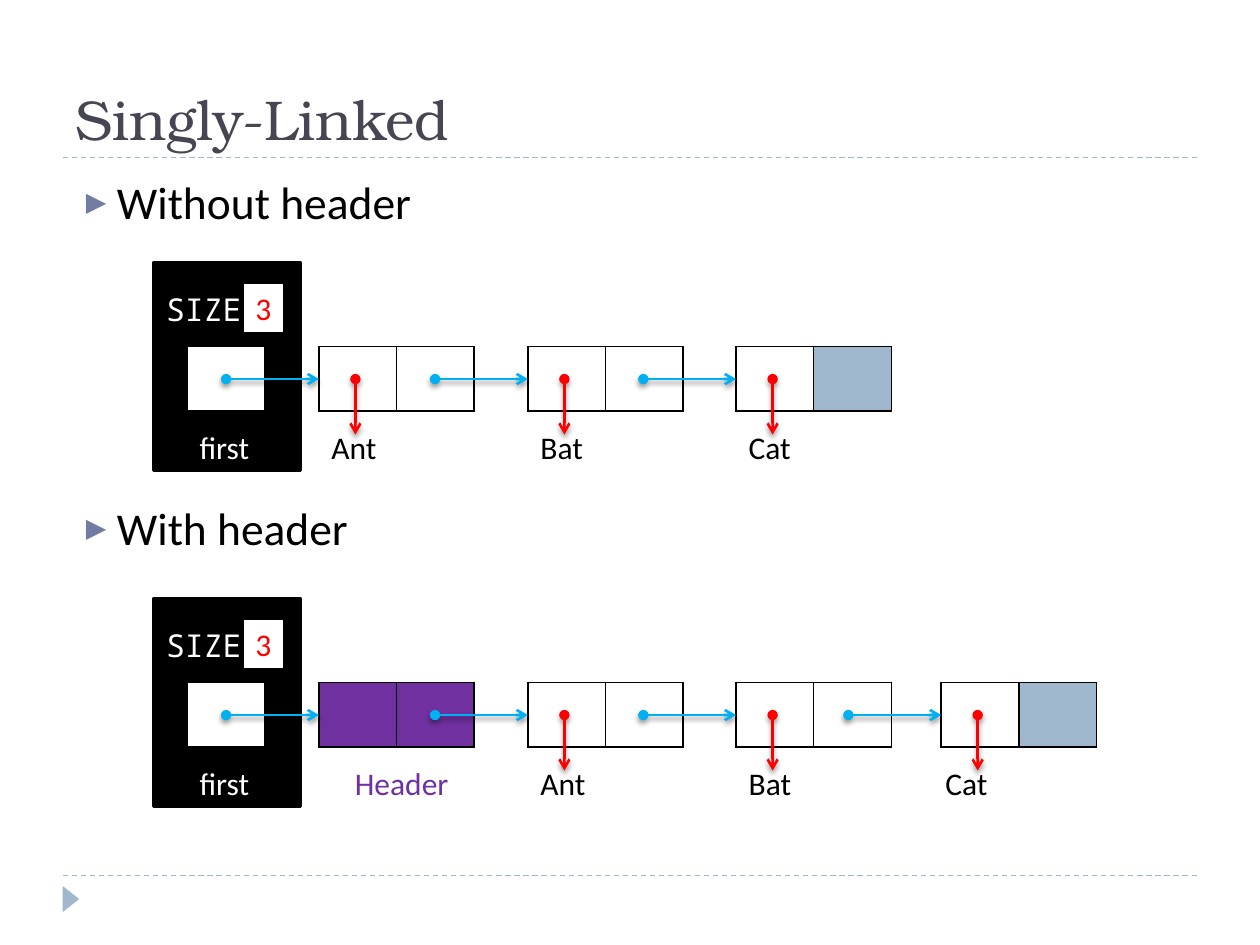
from lxml import etree
from pptx import Presentation
from pptx import util as u
from pptx.dml import color
from pptx.enum import dml, shapes, text
from pptx.oxml import ns

Pt = u.Pt
rgb = color.RGBColor.from_string
BLACK, WHITE, RED, BLUE = "000000", "FFFFFF", "FF0000", "00B0F0"
PURPLE, STEEL, INK, SLATE = "7030A0", "9FB8CD", "464653", "727CA3"


def add(parent, tag, **attrs):
    """Append a DrawingML child with the given attributes."""
    return etree.SubElement(parent, ns.qn("a:" + tag), attrs)


def write(para, words, size, hue, face="Calibri"):
    run = para.add_run()
    run.text = words
    run.font.size, run.font.name = Pt(size), face
    run.font.color.rgb = rgb(hue)


deck = Presentation()
deck.slide_width, deck.slide_height = Pt(720), Pt(540)
slide = deck.slides.add_slide(deck.slide_layouts[6])
art = slide.shapes

# Title and bullets
title = art.add_textbox(Pt(36), Pt(12), Pt(648), Pt(78)).text_frame
title.word_wrap = True
title.vertical_anchor = text.MSO_ANCHOR.BOTTOM
write(title.paragraphs[0], "Singly-Linked", 32, INK, "TeX Gyre Bonum")

body = art.add_textbox(Pt(36), Pt(95.8), Pt(648), Pt(389)).text_frame
body.word_wrap = True
for i, words in enumerate(("Without header", "With header")):
    para = body.add_paragraph() if i else body.paragraphs[0]
    prop = para._p.get_or_add_pPr()
    prop.set("marL", str(Pt(21.6)))
    prop.set("indent", str(Pt(-21.6)))
    add(add(prop, "buClr"), "srgbClr", val=SLATE)
    add(prop, "buSzPct", val="76000")
    add(prop, "buFont", typeface="Noto Sans Mono")
    add(prop, "buChar", char="▶")
    if i:
        para.space_before = Pt(155)
    write(para, words, 26, BLACK)

# Each node: left, cell fills, label, label left, label width, label hue
PLAIN, LAST = (None, None), (None, STEEL)
bare = [(182.2, PLAIN, "Ant", 182.2, 44.4, BLACK),
        (301.6, PLAIN, "Bat", 301.6, 44.4, BLACK),
        (420.6, LAST, "Cat", 420.6, 44.4, BLACK)]
headed = [(182.2, (PURPLE, PURPLE), "Header", 195.6, 73.4, PURPLE),
          (301.6, PLAIN, "Ant", 301.6, 44.4, BLACK),
          (420.6, LAST, "Bat", 420.6, 44.4, BLACK),
          (537.8, LAST, "Cat", 533, 50.4, BLACK)]

blocks = []  # left, top, width, height, fill, words, hue, face, inset
tables = []  # left, top, width, fills, edged, words, hue
lines = [(36, y, 684, y, STEEL) for y in (500.4, 90)]
for top, nodes in ((149.8, bare), (341.8, headed)):
    row, mid, low = top + 48.2, top + 66.8, top + 88
    blocks += [(87.8, top, 84, 119, BLACK, "SIZE", WHITE,
                "Noto Sans Mono", 16.2),
               (138.8, top + 11.8, 23.8, 28.8, WHITE, "3", RED,
                "Calibri", 3.6)]
    tables += [(106.8, row, 44.4, [WHITE], True, "", BLACK),
               (106.8, low, 44.4, [None], False, "first", WHITE)]
    for x, fills, label, left, width, hue in nodes:
        tables += [(x, row, 88.8, fills, True, "", BLACK),
                   (left, low, width, [None], False, label, hue)]
        lines.append((x - 53, mid, x, mid, BLUE))
        if label != "Header":
            lines.append((x + 20.9, mid, x + 20.9, mid + 31.7, RED))
        if fills is LAST and label == "Bat":  # a node follows this one
            tables.append((x + 44.4, row, 44.4, [WHITE], True, "", BLACK))

for x, y, w, h, fill, words, hue, face, inset in blocks:
    box = art.add_shape(shapes.MSO_SHAPE.RECTANGLE, Pt(x), Pt(y), Pt(w), Pt(h))
    box.shadow.inherit = False
    box.fill.solid()
    box.fill.fore_color.rgb = rgb(fill)
    box.line.color.rgb = rgb(BLACK)
    box.line.width = Pt(1.5)
    frame = box.text_frame
    frame.vertical_anchor = text.MSO_ANCHOR.TOP
    frame.margin_top = Pt(inset)
    frame.paragraphs[0].alignment = text.PP_ALIGN.LEFT
    write(frame.paragraphs[0], words, 18, hue, face)
    frame.word_wrap = False

for x, y, w, fills, edged, words, hue in tables:
    grid = art.add_table(1, len(fills), Pt(x), Pt(y), Pt(w), Pt(36.8)).table
    grid.first_row = grid.horz_banding = False
    for cell, fill in zip(grid.iter_cells(), fills):
        prop = cell._tc.get_or_add_tcPr()
        for side in ("lnL", "lnR", "lnT", "lnB"):
            edge = add(prop, side, w=str(Pt(1)))
            if edged:
                add(add(edge, "solidFill"), "srgbClr", val=BLACK)
            else:
                add(edge, "noFill")
        if fill:
            cell.fill.solid()
            cell.fill.fore_color.rgb = rgb(fill)
        else:
            cell.fill.background()
        cell.vertical_anchor = text.MSO_ANCHOR.MIDDLE
        if words:
            write(cell.text_frame.paragraphs[0], words, 18, hue)

# Dashed rules, and pointers with a dot, an arrowhead and a soft shadow
for x1, y1, x2, y2, hue in lines:
    line = art.add_connector(shapes.MSO_CONNECTOR.STRAIGHT,
                             Pt(x1), Pt(y1), Pt(x2), Pt(y2))
    line.line.color.rgb = rgb(hue)
    effect = add(line._element.spPr, "effectLst")
    if hue == STEEL:
        line.line.width = Pt(0.75)
        line.line.dash_style = dml.MSO_LINE.DASH
        continue
    line.line.width = Pt(1.5)
    stroke = line._element.spPr.find(ns.qn("a:ln"))
    add(stroke, "headEnd", type="oval")
    add(stroke, "tailEnd", type="arrow")
    shade = add(effect, "outerShdw", blurRad=str(Pt(3)), dist=str(Pt(2)),
                dir="5400000", rotWithShape="0")
    add(add(shade, "srgbClr", val=BLACK), "alpha", val="40000")

# Corner mark
mark = art.add_shape(shapes.MSO_SHAPE.ISOSCELES_TRIANGLE,
                     Pt(33), Pt(509), Pt(15), Pt(9.5))
mark.rotation = 90
mark.shadow.inherit = False
mark.fill.solid()
mark.fill.fore_color.rgb = rgb(STEEL)
mark.line.fill.background()

deck.save("out.pptx")
